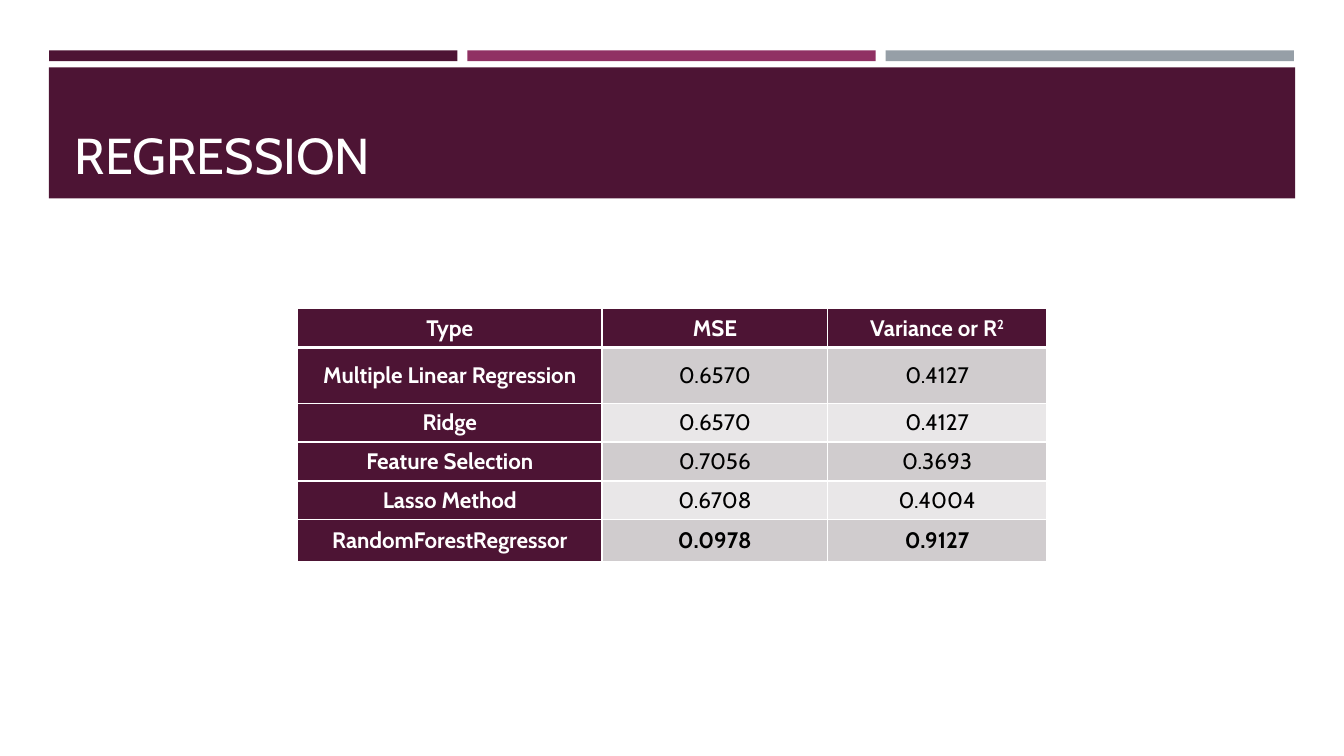
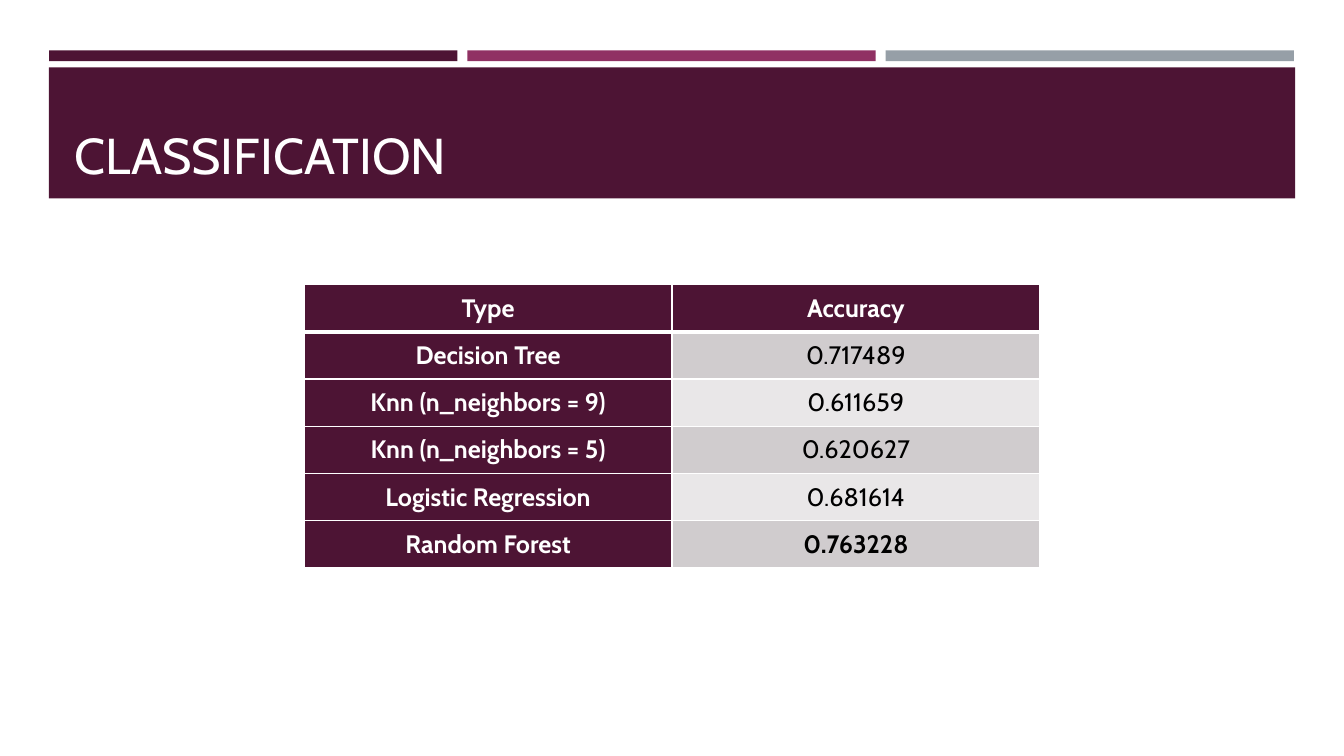
from lxml.etree import SubElement
from pptx import Presentation
from pptx.dml.color import RGBColor
from pptx.enum.shapes import MSO_SHAPE
from pptx.enum.text import MSO_ANCHOR, MSO_AUTO_SIZE, PP_ALIGN
from pptx.oxml.ns import qn
from pptx.util import Cm, Pt

PLUM = RGBColor(0x4D, 0x14, 0x34)
MAGENTA = RGBColor(0x90, 0x31, 0x63)
GREY = RGBColor(0x96, 0x9F, 0xA7)
DARK_ROW = RGBColor(0xD0, 0xCC, 0xCE)
LIGHT_ROW = RGBColor(0xE9, 0xE7, 0xE8)
WHITE = RGBColor(0xFF, 0xFF, 0xFF)
BLACK = RGBColor(0x00, 0x00, 0x00)
FONT = "Cabin"
SLIDE_WIDTH, SLIDE_HEIGHT = 33.87, 19.05

REGRESSION = [
    ("Type", "MSE", "Variance or R^2"),
    ("Multiple Linear Regression", "0.6570", "0.4127"),
    ("Ridge", "0.6570", "0.4127"),
    ("Feature Selection", "0.7056", "0.3693"),
    ("Lasso Method", "0.6708", "0.4004"),
    ("RandomForestRegressor", "0.0978", "0.9127"),
]
CLASSIFICATION = [
    ("Type", "Accuracy"),
    ("Decision Tree", "0.717489"),
    ("Knn (n_neighbors = 9)", "0.611659"),
    ("Knn (n_neighbors = 5)", "0.620627"),
    ("Logistic Regression", "0.681614"),
    ("Random Forest", "0.763228"),
]


def style_font(font, size, color, bold=False):
    """Apply the deck's typeface with a size, colour and weight."""
    font.name, font.size, font.bold = FONT, Pt(size), bold
    font.color.rgb = color


def add_band(slide, layout, left, top, width, height, color):
    """Draw a coloured band and place it on the shared layout."""
    band = slide.shapes.add_shape(
        MSO_SHAPE.RECTANGLE, Cm(left), Cm(top), Cm(width), Cm(height))
    band.shadow.inherit = False
    band.fill.solid()
    band.fill.fore_color.rgb = color
    band.line.fill.background()
    layout.shapes._spTree.append(band._element)


def add_shared_bands(slide, layout):
    """Give the layout its three strips and the title band."""
    for column, color in enumerate((PLUM, MAGENTA, GREY)):
        add_band(slide, layout, 1.24 + column * 10.54, 1.27, 10.29, 0.27, color)
    add_band(slide, layout, 1.23, 1.7, 31.41, 3.3, PLUM)


def set_title(slide, text):
    """Fill and format the title placeholder."""
    title = slide.shapes.title
    title.left, title.top, title.width, title.height = (
        Cm(1.63), Cm(1.96), Cm(30.63), Cm(2.82))
    frame = title.text_frame
    frame.text = text
    frame.word_wrap = True
    frame.auto_size = MSO_AUTO_SIZE.NONE
    frame.vertical_anchor = MSO_ANCHOR.BOTTOM
    paragraph = frame.paragraphs[0]
    paragraph.alignment = PP_ALIGN.LEFT
    style_font(paragraph.runs[0].font, 36, WHITE)


def set_borders(cell, top, bottom):
    """Draw white borders around a cell, with widths in points."""
    properties = cell._tc.get_or_add_tcPr()
    for side, width in (("L", 1), ("R", 1), ("T", top), ("B", bottom)):
        border = SubElement(properties, qn(f"a:ln{side}"), w=str(Pt(width)))
        fill = SubElement(border, qn("a:solidFill"))
        SubElement(fill, qn("a:srgbClr"), val=str(WHITE))


def set_cell_text(cell, text, size, color, bold):
    """Write centred text; what follows a caret is raised."""
    base, _, exponent = text.partition("^")
    cell.margin_left = cell.margin_right = Cm(0.18)
    cell.margin_top = cell.margin_bottom = 0
    cell.vertical_anchor = MSO_ANCHOR.MIDDLE
    paragraph = cell.text_frame.paragraphs[0]
    paragraph.text = base
    paragraph.alignment = PP_ALIGN.CENTER
    if exponent:
        raised = paragraph.add_run()
        raised.text = exponent
        raised._r.get_or_add_rPr().set("baseline", "30000")
    for run in paragraph.runs:
        style_font(run.font, size, color, bold)


def add_score_table(slide, scores, top, widths, heights, size):
    """Add a centred table with plum headings and the best scores in bold."""
    table = slide.shapes.add_table(
        len(scores), len(widths), Cm((SLIDE_WIDTH - sum(widths)) / 2), Cm(top),
        Cm(sum(widths)), Cm(sum(heights))).table
    table.first_col = True
    for column, width in zip(table.columns, widths):
        column.width = Cm(width)
    for row, height in zip(table.rows, heights):
        row.height = Cm(height)
    last = len(scores) - 1
    for r, values in enumerate(scores):
        for c, text in enumerate(values):
            cell = table.cell(r, c)
            heading = r == 0 or c == 0
            set_borders(cell, 3 if r == 1 else 1, 3 if r == 0 else 1)
            cell.fill.solid()
            cell.fill.fore_color.rgb = (
                PLUM if heading else DARK_ROW if r % 2 else LIGHT_ROW)
            set_cell_text(cell, text, size, WHITE if heading else BLACK,
                          heading or r == last)


def main():
    """Build and save the deck."""
    deck = Presentation()
    deck.slide_width, deck.slide_height = Cm(SLIDE_WIDTH), Cm(SLIDE_HEIGHT)
    layout = deck.slide_layouts[5]

    regression = deck.slides.add_slide(layout)
    add_shared_bands(regression, layout)
    set_title(regression, "REGRESSION")
    add_score_table(regression, REGRESSION, 7.78, (7.67, 5.69, 5.51),
                    (0.98, 1.4, 0.98, 0.98, 0.98, 1.04), 16)

    classification = deck.slides.add_slide(layout)
    set_title(classification, "CLASSIFICATION")
    add_score_table(classification, CLASSIFICATION, 7.17, (9.27, 9.27),
                    (1.19,) * len(CLASSIFICATION), 18)

    deck.save("out.pptx")


if __name__ == "__main__":
    main()
